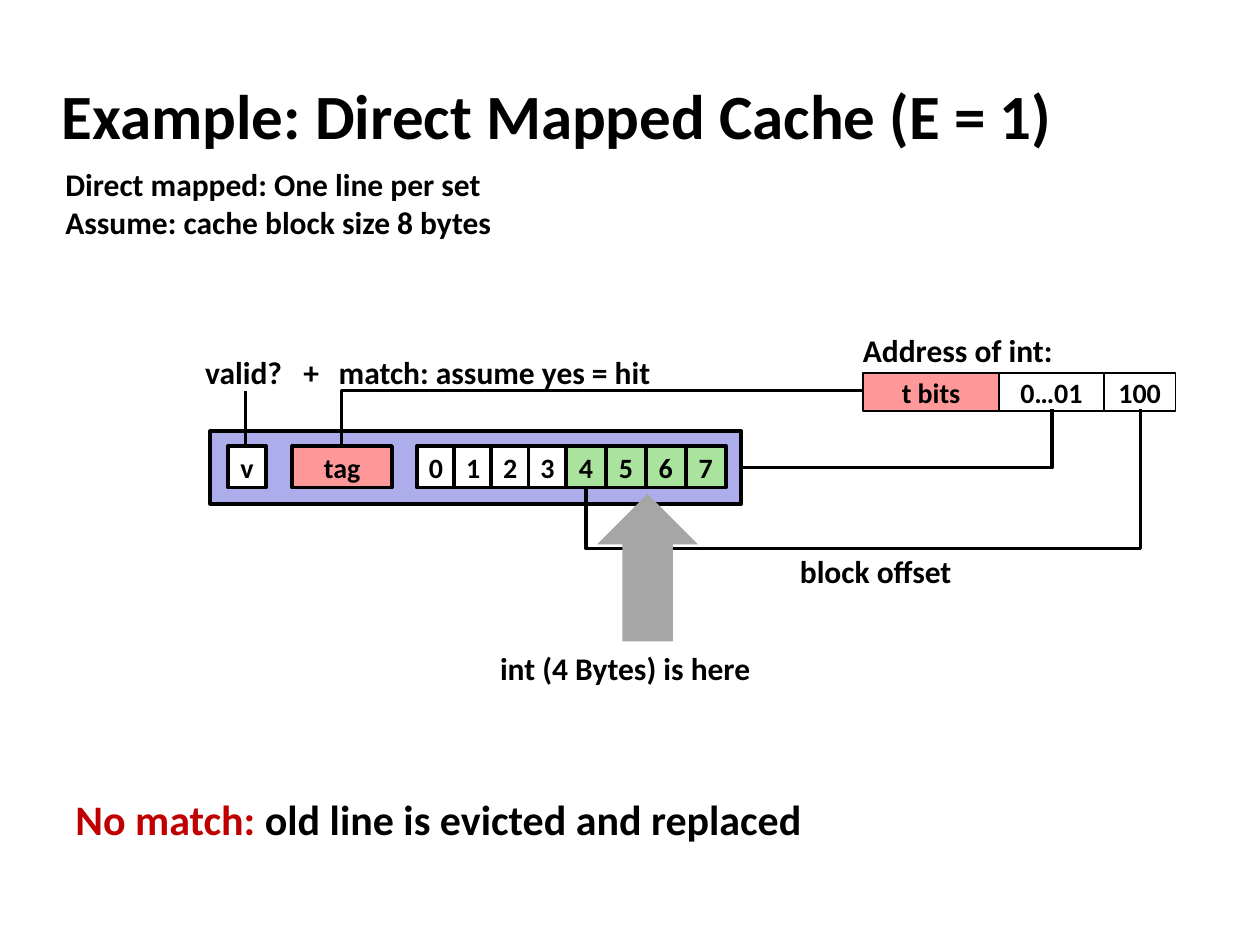
from pptx import Presentation
from pptx.dml.color import RGBColor
from pptx.enum.shapes import MSO_CONNECTOR, MSO_SHAPE
from pptx.enum.text import MSO_ANCHOR, MSO_AUTO_SIZE, PP_ALIGN
from pptx.oxml.ns import qn
from pptx.util import Inches, Pt
from lxml.etree import SubElement

BLACK, WHITE, RED = "000000", "FFFFFF", "C00000"
PINK, LILAC, GREEN, GRAY = "FF9999", "ADADEB", "A9E39D", "A6A6A6"

TITLE = "Example: Direct Mapped Cache (E = 1)"
# left, top, width, height, size, paragraphs of (text, colour) runs
NOTES = [
    (0.42, 1.26, 3.61, 0.71, 18, [[("Direct mapped: One line per set", BLACK)],
                                  [("Assume: cache block size 8 bytes", BLACK)]]),
    (6.75, 2.58, 1.72, 0.4, 18, [[("Address of int:", BLACK)]]),
    (2.59, 2.75, 2.7, 0.4, 18, [[("match: assume yes = hit", BLACK)]]),
    (3.87, 5.1, 2.21, 0.4, 18, [[("int (4 Bytes) is here", BLACK)]]),
    (6.25, 4.33, 1.42, 0.4, 18, [[("block offset", BLACK)]]),
    (0.5, 6.25, 6.02, 0.5, 24, [[("No match: ", RED),
                                 ("old line is evicted and replaced", BLACK)]]),
]
VALID = (1.53, 2.75, 1.12, 0.4, 18, [[("valid?\t+", BLACK)]])
PLUS_TAB = 0.78
# text, width, fill
ADDRESS = [("t bits", 1.08, PINK), ("0…01", 0.83, WHITE), ("100", 0.57, WHITE)]
# text, left, width, fill
FIELDS = [("v", 1.81, 0.3, WHITE), ("tag", 2.32, 0.79, PINK)]
FIELDS += [(str(i), 3.31 + 0.295 * i, 0.3, WHITE) for i in range(4)]
FIELDS += [(str(i), 4.49 + 0.317 * (i - 4), 0.32, GREEN) for i in range(4, 8)]


def color(code):
    return RGBColor.from_string(code)


def add_run(para, text, size, code=BLACK):
    run = para.add_run()
    run.text = text
    font = run.font
    font.name, font.size, font.bold = "Calibri", Pt(size), True
    font.color.rgb = color(code)


def add_note(shapes, left, top, width, height, size, paras):
    box = shapes.add_textbox(*map(Inches, (left, top, width, height)))
    frame = box.text_frame
    frame.word_wrap = False
    frame.auto_size = MSO_AUTO_SIZE.SHAPE_TO_FIT_TEXT
    for i, runs in enumerate(paras):
        para = frame.add_paragraph() if i else frame.paragraphs[0]
        for text, code in runs:
            add_run(para, text, size, code)
    return box


def add_box(shapes, left, top, width, height, fill, line=0, text="",
            kind=MSO_SHAPE.RECTANGLE):
    box = shapes.add_shape(kind, *map(Inches, (left, top, width, height)))
    box.shadow.inherit = False
    box.fill.solid()
    box.fill.fore_color.rgb = color(fill)
    if line:
        box.line.color.rgb = color(BLACK)
        box.line.width = Pt(line)
    else:
        box.line.fill.background()
    if text:
        frame = box.text_frame
        frame.word_wrap = False
        frame.vertical_anchor = MSO_ANCHOR.MIDDLE
        para = frame.paragraphs[0]
        para.alignment = PP_ALIGN.CENTER
        add_run(para, text, 16)


def add_wire(shapes, start, end, kind=MSO_CONNECTOR.STRAIGHT):
    wire = shapes.add_connector(kind, *map(Inches, start + end))
    wire.line.color.rgb = color(BLACK)
    wire.line.width = Pt(2)
    SubElement(wire._element.spPr, qn("a:effectLst"))
    return wire


def add_elbow(shapes, start, end, down=True, bend=None):
    """Join two points by a bent wire; down makes it leave downwards."""
    if down:  # a quarter turn about the middle swaps width and height
        (x1, y1), (x2, y2) = start, end
        mid_x, mid_y = (x1 + x2) / 2, (y1 + y2) / 2
        half_w, half_h = (y2 - y1) / 2, (x1 - x2) / 2
        start = (mid_x - half_w, mid_y - half_h)
        end = (mid_x + half_w, mid_y + half_h)
    wire = add_wire(shapes, start, end, MSO_CONNECTOR.ELBOW)
    props = wire._element.spPr
    if down:
        props.find(qn("a:xfrm")).set("rot", str(90 * 60000))
    shape = props.find(qn("a:prstGeom"))
    if bend is None:
        shape.set("prst", "bentConnector2")
    else:
        guides = shape.find(qn("a:avLst"))
        if guides is None:
            guides = SubElement(shape, qn("a:avLst"))
        SubElement(guides, qn("a:gd"), name="adj1", fmla=f"val {round(bend * 100000)}")


def main():
    deck = Presentation()
    deck.slide_width, deck.slide_height = Inches(10), Inches(7.5)
    slide = deck.slides.add_slide(deck.slide_layouts[5])
    shapes = slide.shapes

    title = shapes.title
    title.left, title.top, title.width, title.height = map(Inches, (0.39, 0.49, 8.3, 0.83))
    frame = title.text_frame
    frame.auto_size = MSO_AUTO_SIZE.NONE
    frame.vertical_anchor = MSO_ANCHOR.MIDDLE
    frame.paragraphs[0].alignment = PP_ALIGN.LEFT
    add_run(frame.paragraphs[0], TITLE, 36)

    left = 6.85
    for text, width, fill in ADDRESS:
        add_box(shapes, left, 2.96, width, 0.3, fill, 1, text)
        left += width

    add_box(shapes, 1.67, 3.42, 4.21, 0.58, LILAC, 2.25)
    for text, left, width, fill in FIELDS:
        add_box(shapes, left, 3.54, width, 0.33, fill, 2.25, text)

    add_elbow(shapes, (8.35, 3.25), (5.88, 3.71))
    add_elbow(shapes, (6.85, 3.1), (2.71, 3.54), down=False)
    add_wire(shapes, (1.95, 3.1), (1.95, 3.54))
    add_elbow(shapes, (9.05, 3.25), (4.65, 3.88), bend=1.75)
    add_box(shapes, 4.74, 3.92, 0.8, 1.17, GRAY, kind=MSO_SHAPE.UP_ARROW)

    for note in NOTES:
        add_note(shapes, *note)
    valid = add_note(shapes, *VALID)
    props = valid.text_frame.paragraphs[0]._p.get_or_add_pPr()
    tabs = SubElement(props, qn("a:tabLst"))
    SubElement(tabs, qn("a:tab"), pos=str(Inches(PLUS_TAB)), algn="l")

    deck.save("out.pptx")


if __name__ == "__main__":
    main()
